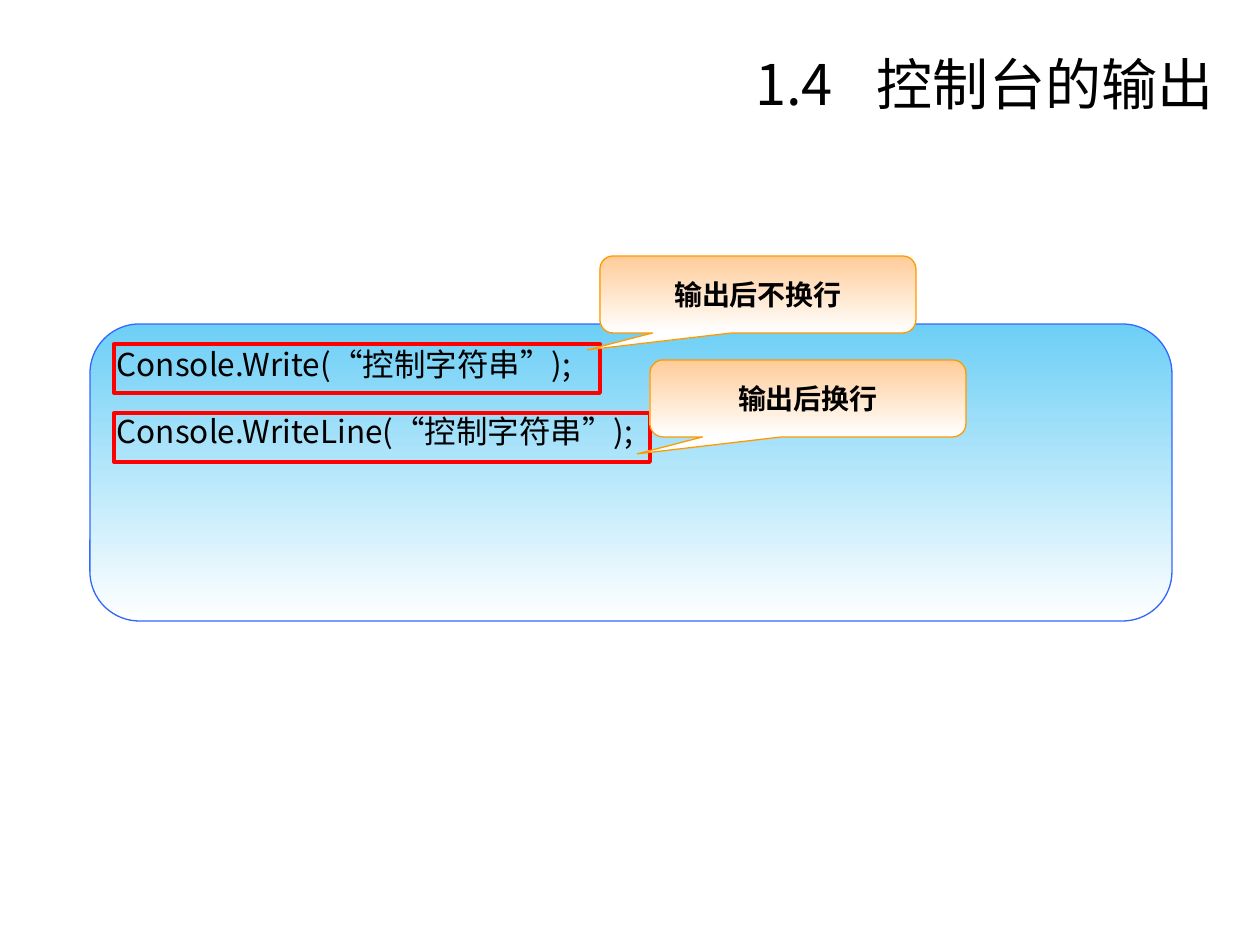
from dataclasses import dataclass

from lxml.etree import SubElement
from pptx import Presentation
from pptx.dml.color import RGBColor
from pptx.enum.shapes import MSO_SHAPE
from pptx.enum.text import MSO_ANCHOR, MSO_AUTO_SIZE, PP_ALIGN
from pptx.oxml.ns import qn
from pptx.util import Emu, Pt

EMU_PER_PX = 914400 / 126


@dataclass(frozen=True)
class Theme:
    """Colours, fonts and sizes of the slide."""

    text: str = "000000"
    fade: str = "FFFFFF"
    panel: str = "6DCFF6"
    panel_line: str = "3366FF"
    frame_line: str = "FF0000"
    callout: str = "FFCC99"
    callout_line: str = "FF9900"
    latin: str = "Arial"
    chinese: str = "Noto Sans CJK SC"
    title_size: int = 32
    code_size: int = 18
    callout_size: int = 16
    thin: float = 0.75
    thick: float = 2.25


THEME = Theme()


def px(length):
    """Turn pixels into EMU."""
    return Emu(round(length * EMU_PER_PX))


def color(value):
    """Turn a hex string into a colour."""
    return RGBColor.from_string(value)


def write(para, text, *, size, font=THEME.chinese, bold=False, spacing=0):
    """Add a formatted span of text to a paragraph."""
    span = para.add_run()
    span.text = text
    span.font.size = Pt(size)
    span.font.bold = bold
    span.font.name = font
    span.font.color.rgb = color(THEME.text)
    properties = span.font._element
    SubElement(properties, qn("a:ea"), typeface=THEME.chinese)
    if spacing:
        properties.set("spc", str(spacing * 100))


def add_box(page, preset, bounds, *, line, width, top_color=None):
    """Add an outlined shape, hollow or fading to the page colour."""
    box = page.shapes.add_shape(preset, *map(px, bounds))
    box.shadow.inherit = False
    box.line.color.rgb = color(line)
    box.line.width = Pt(width)
    if top_color is None:
        box.fill.background()
    else:
        box.fill.gradient()
        box.fill.gradient_angle = 270
        for stop, value in zip(box.fill.gradient_stops, (top_color, THEME.fade)):
            stop.color.rgb = color(value)
    return box


def add_title(page, number, heading):
    """Place the numbered heading at the top right."""
    title = page.shapes.title
    title.left, title.top, title.width, title.height = map(px, (312, 45, 914, 77))
    frame = title.text_frame
    frame.auto_size = MSO_AUTO_SIZE.NONE
    frame.vertical_anchor = MSO_ANCHOR.MIDDLE
    para = frame.paragraphs[0]
    para.alignment = PP_ALIGN.RIGHT
    write(para, number, size=THEME.title_size)
    write(para, " ", size=THEME.title_size, spacing=18)
    write(para, heading, size=THEME.title_size, font=THEME.latin)


def add_code_panel(page, statements):
    """Add the rounded panel that lists the statements."""
    panel = add_box(page, MSO_SHAPE.FLOWCHART_ALTERNATE_PROCESS, (90, 324, 1082, 297),
                    line=THEME.panel_line, width=THEME.thin, top_color=THEME.panel)
    frame = panel.text_frame
    frame.word_wrap = True
    frame.vertical_anchor = MSO_ANCHOR.TOP
    for index, statement in enumerate(statements):
        para = frame.paragraphs[0] if index == 0 else frame.add_paragraph()
        para.alignment = PP_ALIGN.LEFT
        para.space_before = Pt(17 if index else 0)
        write(para, statement, size=THEME.code_size)


def add_frame(page, top, width):
    """Frame one statement in red."""
    add_box(page, MSO_SHAPE.RECTANGLE, (114, top, width, 49),
            line=THEME.frame_line, width=THEME.thick)


def add_callout(page, left, top, text):
    """Add a callout that points to the end of a statement."""
    callout = add_box(page, MSO_SHAPE.ROUNDED_RECTANGULAR_CALLOUT, (left, top, 316, 77),
                      line=THEME.callout_line, width=THEME.thin, top_color=THEME.callout)
    for index, value in enumerate((-0.54, 0.72, 0.17)):
        callout.adjustments[index] = value
    frame = callout.text_frame
    frame.word_wrap = True
    frame.vertical_anchor = MSO_ANCHOR.MIDDLE
    para = frame.paragraphs[0]
    para.alignment = PP_ALIGN.CENTER
    write(para, text, size=THEME.callout_size, font=THEME.latin, bold=True)


def main():
    """Build and save the slide."""
    deck = Presentation()
    deck.slide_width, deck.slide_height = px(1260), px(945)
    page = deck.slides.add_slide(deck.slide_layouts[5])
    add_title(page, "1.4", "控制台的输出")
    add_code_panel(page, ("Console.Write(“控制字符串”);", "Console.WriteLine(“控制字符串”);"))
    for top, width in ((344, 486), (413, 536)):
        add_frame(page, top, width)
    add_callout(page, 600, 256, "输出后不换行")
    add_callout(page, 650, 360, "输出后换行")
    deck.save("out.pptx")


if __name__ == "__main__":
    main()
